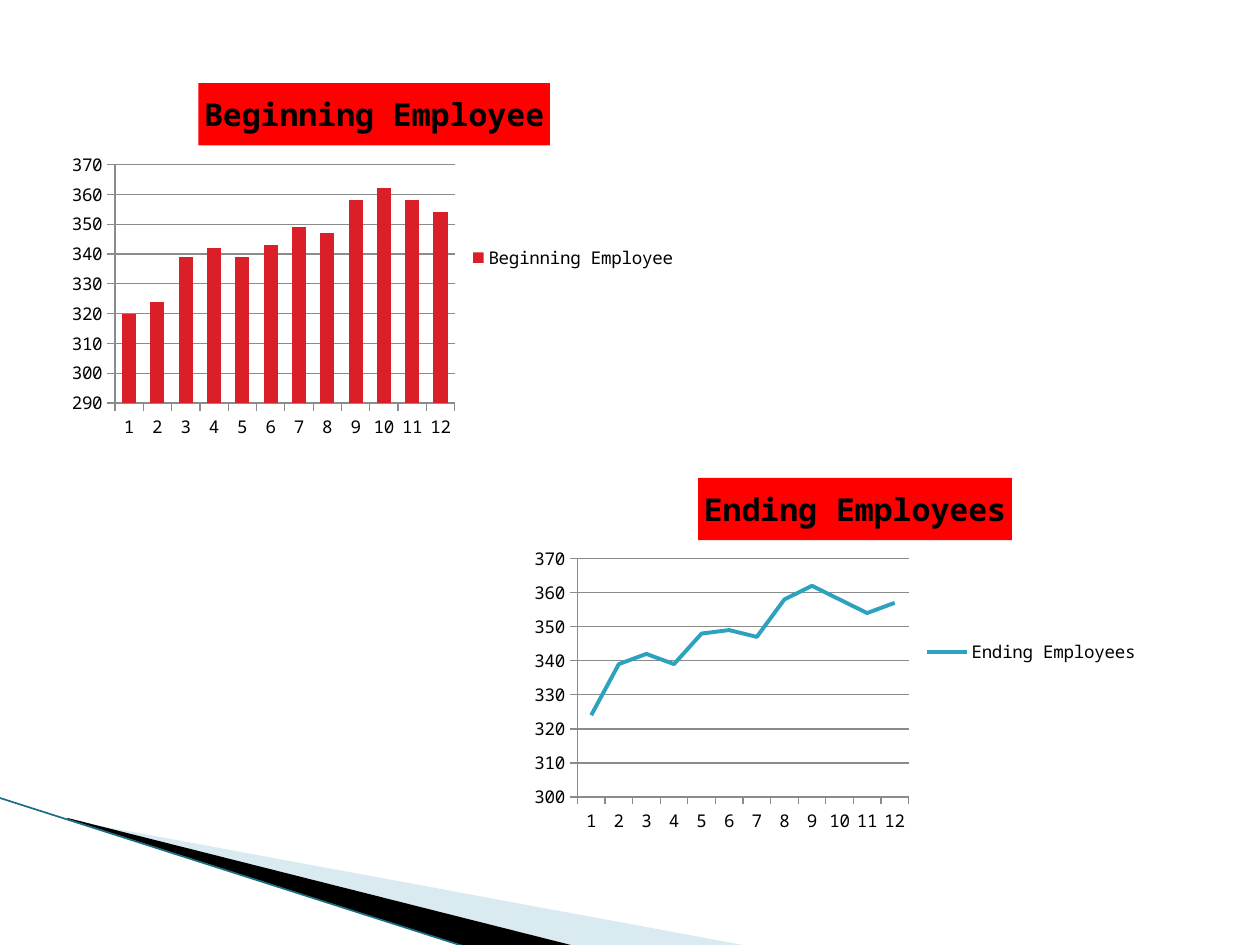
from lxml import etree
from pptx import Presentation
from pptx.chart.data import CategoryChartData
from pptx.dml.color import RGBColor
from pptx.enum.chart import XL_CHART_TYPE, XL_LEGEND_POSITION, XL_TICK_MARK
from pptx.enum.shapes import MSO_CONNECTOR
from pptx.oxml.ns import qn
from pptx.util import Pt

BAR = XL_CHART_TYPE.COLUMN_CLUSTERED
LINE = XL_CHART_TYPE.LINE_STACKED
RIGHT = XL_LEGEND_POSITION.RIGHT
OUT = XL_TICK_MARK.OUTSIDE
NONE = XL_TICK_MARK.NONE
STRAIGHT = MSO_CONNECTOR.STRAIGHT
FONT = "Noto Sans Mono"
COLORS = {"pale": "A0CBDC", "black": "000000", "edge": "1B6E82", "title": "FF0000",
          "bar": "DA1F28", "line": "2DA2BF", "grid": "8B8B8B"}


def rgb(name):
    return RGBColor.from_string(COLORS[name])


def style(font, size, bold=False):
    font.name, font.size, font.bold = FONT, Pt(size), bold
    font.color.rgb = rgb("black")


prs = Presentation()
prs.slide_width, prs.slide_height = Pt(720), Pt(540)
slide = prs.slides.add_slide(prs.slide_layouts[6])
shapes = slide.shapes

# Corner wedges: colour, opacity in percent, frame, corner points
wedges = [
    ("pale", 40, (56.2, 393.8, 299.5, 113.8),
     [(39.6, 468.7), (428.4, 540.7), (328.3, 540.7), (39.6, 468)]),
    ("black", 100, (-4.3, 455.8, 299.5, 66.2),
     [(38.2, 467.3), (329, 540.7), (267.8, 541.4), (38.9, 468)]),
]
for color, alpha, frame, pts in wedges:
    pts = [(Pt(x), Pt(y)) for x, y in pts]
    pen = shapes.build_freeform(*pts[0])
    pen.add_line_segments(pts[1:], close=True)
    wedge = pen.convert_to_shape()
    wedge.shadow.inherit = False
    wedge.fill.solid()
    wedge.fill.fore_color.rgb = rgb(color)
    wedge.line.fill.background()
    if alpha < 100:
        tint = wedge.fill._xPr.find(".//" + qn("a:srgbClr"))
        etree.SubElement(tint, qn("a:alpha"), val=str(alpha * 1000))

    # The outline reaches past its frame, so its points are set from the frame corner
    left, top, width, height = (Pt(n) for n in frame)
    wedge.left, wedge.top, wedge.width, wedge.height = left, top, width, height
    trace = wedge._element.find(".//" + qn("a:path"))
    trace.set("w", str(width))
    trace.set("h", str(height))
    for spot, (x, y) in zip(trace.iter(qn("a:pt")), pts):
        spot.set("x", str(x - left))
        spot.set("y", str(y - top))

# Corner edge line
edge = shapes.add_connector(STRAIGHT, Pt(-0.7), Pt(455.8), Pt(267.1), Pt(541.4))
edge.line.color.rgb = rgb("edge")
edge.line.width = Pt(0.95)
etree.SubElement(edge._element.spPr, qn("a:effectLst"))

# Charts: kind, name, left, top, title place, axis minimum, colour, values
charts = [
    (BAR, "Beginning Employee", 33.8, 39.3, None, 290, "bar",
     [320, 324, 339, 342, 339, 343, 349, 347, 358, 362, 358, 354]),
    (LINE, "Ending Employees", 298.1, 264.4, (0.28, 0.04), 300, "line",
     [324, 339, 342, 339, 348, 349, 347, 358, 362, 358, 354, 357]),
]
for kind, name, left, top, place, low, color, vals in charts:
    data = CategoryChartData()
    data.categories = [str(n) for n in range(1, 13)]
    data.add_series(name, vals)
    chart = shapes.add_chart(kind, Pt(left), Pt(top), Pt(360), Pt(216), data).chart
    style(chart.font, 10)

    # Title and legend
    chart.has_title = True
    title = chart.chart_title
    title.include_in_layout = False
    run = title.text_frame.paragraphs[0].add_run()
    run.text = name
    style(run.font, 18, True)
    title.format.fill.solid()
    title.format.fill.fore_color.rgb = rgb("title")
    if place:
        box = title._element.find(qn("c:layout"))
        if box is None:
            box = etree.Element(qn("c:layout"))
            title._element.find(qn("c:tx")).addnext(box)
        spot = etree.SubElement(box, qn("c:manualLayout"))
        for tag, val in zip(("xMode", "yMode", "x", "y"), ("edge", "edge", *place)):
            etree.SubElement(spot, qn("c:" + tag), val=str(val))
    chart.has_legend = True
    chart.legend.position = RIGHT
    chart.legend.include_in_layout = False

    # Axes
    axis = chart.value_axis
    axis.minimum_scale, axis.maximum_scale, axis.major_unit = low, 370, 10
    axis.has_major_gridlines = True
    for part in (axis, chart.category_axis):
        part.major_tick_mark, part.minor_tick_mark = OUT, NONE
    for part in (axis, chart.category_axis, axis.major_gridlines):
        part.format.line.color.rgb = rgb("grid")
        part.format.line.width = Pt(0.75)

    # Series
    plot = chart.plots[0]
    plot.vary_by_categories = False
    series = plot.series[0]
    if kind == BAR:
        plot.gap_width = 100
        series.format.fill.solid()
        series.format.fill.fore_color.rgb = rgb(color)
    else:
        series.smooth = False
        series.format.line.color.rgb = rgb(color)
        series.format.line.width = Pt(2.25)

prs.save("out.pptx")
